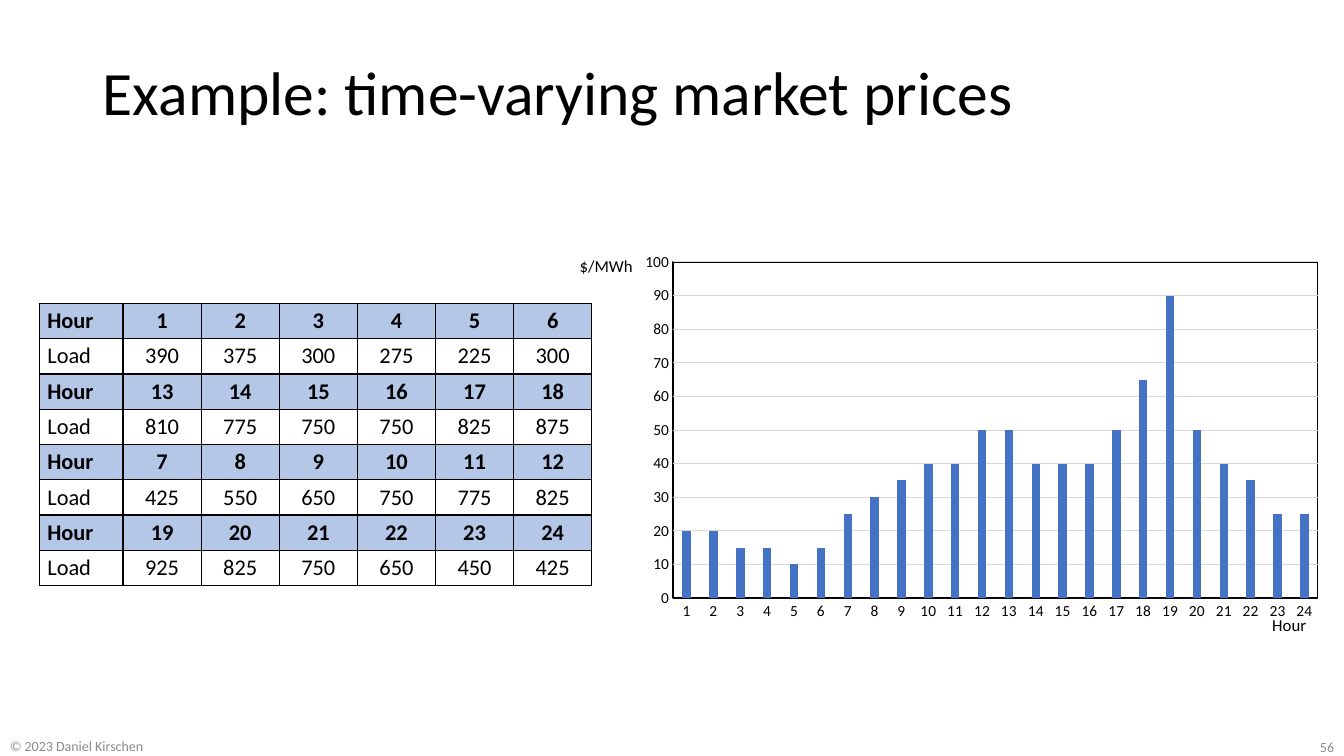
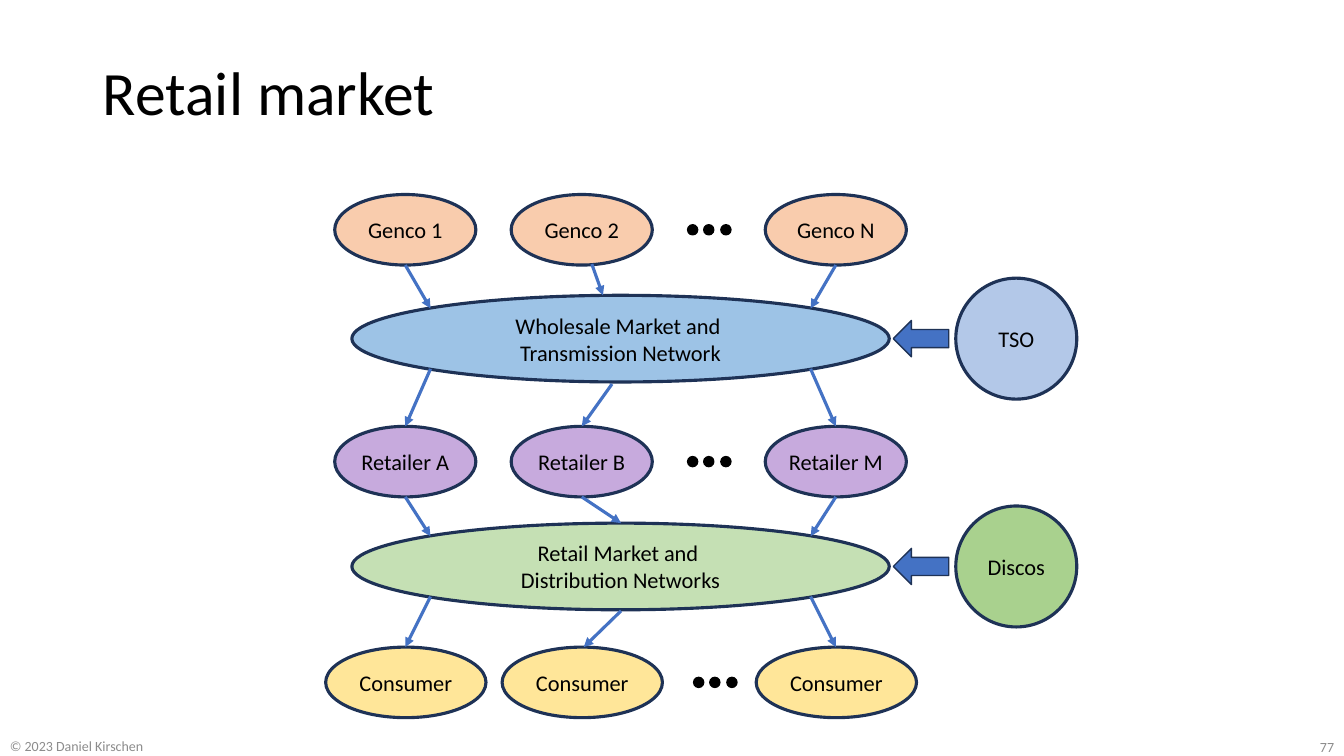
"""Build two slides on electricity markets: hourly prices and retail market structure."""
from dataclasses import dataclass

from pptx import Presentation
from pptx.chart.data import CategoryChartData
from pptx.dml.color import RGBColor
from pptx.enum.chart import XL_CHART_TYPE, XL_TICK_MARK
from pptx.enum.shapes import MSO_CONNECTOR, MSO_SHAPE
from pptx.enum.text import MSO_ANCHOR, MSO_AUTO_SIZE, PP_ALIGN
from pptx.oxml import parse_xml
from pptx.oxml.ns import nsdecls, qn
from pptx.util import Pt

PX = 9144


@dataclass(frozen=True)
class Theme:
    font: str = "Calibri"
    ink: str = "000000"
    muted: str = "8C8C8C"
    accent: str = "4472C4"
    outline: str = "1E3256"
    grid: str = "D9D9D9"
    axis: str = "0D0D0D"
    hour_row: str = "B4C7E7"
    genco: str = "F9CCAD"
    wholesale: str = "9DC3E6"
    tso: str = "B3C8E8"
    retailer: str = "C7AADD"
    retail: str = "C5E0B4"
    disco: str = "A9D18E"
    consumer: str = "FFE699"
    title_size: int = 44
    body_size: int = 16
    label_size: int = 12
    axis_size: int = 11
    footer_size: int = 10
    heavy: float = 2.25
    thin: float = 1


THEME = Theme()
SLIDE_SIZE = (1333, 750)
TITLE_BOX = (92, 40, 1150, 110)
CREDIT_BOX = (0, 730, 364, 20)
NUMBER_BOX = (1033, 733, 300, 17)
CREDIT = "© 2023 Daniel Kirschen"

LOAD_BLOCKS = [
    (1, [390, 375, 300, 275, 225, 300]),
    (13, [810, 775, 750, 750, 825, 875]),
    (7, [425, 550, 650, 750, 775, 825]),
    (19, [925, 825, 750, 650, 450, 425]),
]
LOAD_BOX = (39, 301, 548, 280)
LABEL_COLUMN = 83

PRICES = [20, 20, 15, 15, 10, 15, 25, 30, 35, 40, 40, 50,
          50, 40, 40, 40, 50, 65, 90, 50, 40, 35, 25, 25]
PRICE_BOX = (626, 241, 695, 379)
PLOT_LAYOUT = {"x": 0.06, "y": 0.05, "w": 0.92, "h": 0.88}
AXIS_LABELS = [("$/MWh", (565, 249, 73, 30)), ("Hour", (1252, 605, 54, 30))]

CENTRES = (402, 577, 829)
TIERS = [
    (["Genco 1", "Genco 2", "Genco N"], 193, 140, 682, THEME.genco),
    (["Retailer A", "Retailer B", "Retailer M"], 423, 140, 682, THEME.retailer),
    (["Consumer", "Consumer", "Consumer"], 642, 159, 688, THEME.consumer),
]
TIER_HEIGHT = 70
MARKETS = [
    (["Wholesale Market and ", "Transmission Network"], 293, THEME.wholesale, "TSO", THEME.tso),
    (["Retail Market and ", "Distribution Networks"], 519, THEME.retail, "Discos", THEME.disco),
]
MARKET_LEFT, MARKET_WIDTH, MARKET_HEIGHT = 349, 533, 86
OPERATOR_LEFT, OPERATOR_SIZE = 948, 120
BLOCK_ARROW_LEFT, BLOCK_ARROW_WIDTH, BLOCK_ARROW_HEIGHT = 886, 55, 36
DOT_SIZE = 10
MIDDLE_FLOWS = [
    ((587, 262), (598, 293)),
    ((607, 381), (577, 423)),
    ((577, 493), (616, 519)),
    ((616, 606), (579, 642)),
]


def emu(*lengths):
    return [round(length * PX) for length in lengths]


def rgb(code):
    return RGBColor.from_string(code)


def write(frame, lines, size, color=THEME.ink, align=PP_ALIGN.LEFT, bold=False):
    for index, line in enumerate(lines):
        paragraph = frame.add_paragraph() if index else frame.paragraphs[0]
        paragraph.alignment = align
        run = paragraph.add_run()
        run.text = line
        run.font.name = THEME.font
        run.font.size = Pt(size)
        run.font.bold = bold
        run.font.color.rgb = rgb(color)


def add_label(slide, text, box, size, color=THEME.ink, align=PP_ALIGN.LEFT, wrap=True):
    frame = slide.shapes.add_textbox(*emu(*box)).text_frame
    frame.word_wrap = wrap
    frame.vertical_anchor = MSO_ANCHOR.MIDDLE
    if wrap:
        frame.margin_top = frame.margin_bottom = 0
    write(frame, [text], size, color, align)


def add_titled_slide(deck, title, number):
    slide = deck.slides.add_slide(deck.slide_layouts.get_by_name("Title Only"))
    heading = slide.shapes.title
    heading.left, heading.top, heading.width, heading.height = emu(*TITLE_BOX)
    frame = heading.text_frame
    frame.auto_size = MSO_AUTO_SIZE.NONE
    frame.vertical_anchor = MSO_ANCHOR.MIDDLE
    write(frame, [title], THEME.title_size)
    frame.paragraphs[0].line_spacing = 0.9
    add_label(slide, CREDIT, CREDIT_BOX, THEME.footer_size, THEME.muted)
    add_label(slide, str(number), NUMBER_BOX, THEME.footer_size, THEME.muted, PP_ALIGN.RIGHT)
    return slide


def border_cell(cell):
    properties = cell._tc.get_or_add_tcPr()
    for index, side in enumerate(("lnL", "lnR", "lnT", "lnB")):
        properties.insert(index, parse_xml(
            f'<a:{side} {nsdecls("a")} w="{Pt(THEME.thin)}"><a:solidFill>'
            f'<a:srgbClr val="{THEME.ink}"/></a:solidFill></a:{side}>'))


def add_load_table(slide):
    rows = []
    for first, loads in LOAD_BLOCKS:
        rows.append(["Hour", *range(first, first + len(loads))])
        rows.append(["Load", *loads])
    columns = len(rows[0])
    table = slide.shapes.add_table(len(rows), columns, *emu(*LOAD_BOX)).table
    table.first_row = table.horz_banding = False
    label_width, hour_width = emu(LABEL_COLUMN, (LOAD_BOX[2] - LABEL_COLUMN) / (columns - 1))
    for index, column in enumerate(table.columns):
        column.width = hour_width if index else label_width
    for row_index, row in enumerate(rows):
        is_hour = row_index % 2 == 0
        for column_index, value in enumerate(row):
            cell = table.cell(row_index, column_index)
            cell.vertical_anchor = MSO_ANCHOR.MIDDLE
            cell.margin_left, cell.margin_right = emu(8, 8)
            cell.margin_top = cell.margin_bottom = 0
            if is_hour:
                cell.fill.solid()
                cell.fill.fore_color.rgb = rgb(THEME.hour_row)
            else:
                cell.fill.background()
            border_cell(cell)
            align = PP_ALIGN.CENTER if column_index else PP_ALIGN.LEFT
            write(cell.text_frame, [str(value)], THEME.body_size, align=align, bold=is_hour)


def frame_plot(chart):
    plot_area = chart.element.find(".//" + qn("c:plotArea"))
    for layout in plot_area.findall(qn("c:layout")):
        plot_area.remove(layout)
    extents = "".join(f'<c:{key} val="{value}"/>' for key, value in PLOT_LAYOUT.items())
    plot_area.insert(0, parse_xml(
        f'<c:layout {nsdecls("c")}><c:manualLayout><c:layoutTarget val="inner"/>'
        f'<c:xMode val="edge"/><c:yMode val="edge"/>{extents}</c:manualLayout></c:layout>'))
    plot_area.append(parse_xml(
        f'<c:spPr {nsdecls("c", "a")}><a:noFill/><a:ln w="{Pt(THEME.thin)}"><a:solidFill>'
        f'<a:srgbClr val="{THEME.ink}"/></a:solidFill></a:ln></c:spPr>'))


def add_price_chart(slide):
    data = CategoryChartData()
    data.categories = [str(hour) for hour in range(1, len(PRICES) + 1)]
    data.add_series("Series 1", PRICES)
    chart = slide.shapes.add_chart(XL_CHART_TYPE.COLUMN_CLUSTERED, *emu(*PRICE_BOX), data).chart
    chart.has_title = chart.has_legend = False
    hours, prices, plot = chart.category_axis, chart.value_axis, chart.plots[0]
    for font in (chart.font, hours.tick_labels.font, prices.tick_labels.font):
        font.name = THEME.font
        font.size = Pt(THEME.axis_size)
        font.color.rgb = rgb(THEME.ink)
    for axis in (hours, prices):
        axis.major_tick_mark = axis.minor_tick_mark = XL_TICK_MARK.NONE
    prices.minimum_scale, prices.maximum_scale, prices.major_unit = 0, 100, 10
    prices.format.line.fill.background()
    for line, color in ((hours.format.line, THEME.axis),
                        (prices.major_gridlines.format.line, THEME.grid)):
        line.color.rgb = rgb(color)
        line.width = Pt(0.75)
    plot.gap_width, plot.overlap, plot.vary_by_categories = 219, -27, False
    bars = plot.series[0].format.fill
    bars.solid()
    bars.fore_color.rgb = rgb(THEME.accent)
    frame_plot(chart)


def add_node(slide, box, fill, lines=(), preset=MSO_SHAPE.OVAL,
             outline=THEME.outline, weight=THEME.heavy):
    node = slide.shapes.add_shape(preset, *emu(*box))
    node.shadow.inherit = False
    node.fill.solid()
    node.fill.fore_color.rgb = rgb(fill)
    node.line.color.rgb = rgb(outline)
    node.line.width = Pt(weight)
    frame = node.text_frame
    frame.margin_left = frame.margin_right = 0
    frame.vertical_anchor = MSO_ANCHOR.MIDDLE
    write(frame, lines, THEME.body_size, align=PP_ALIGN.CENTER)


def add_flow(slide, start, end):
    flow = slide.shapes.add_connector(MSO_CONNECTOR.STRAIGHT, *emu(*start, *end))
    flow.line.color.rgb = rgb(THEME.accent)
    flow.line.width = Pt(THEME.heavy)
    properties = flow.element.spPr
    properties.find(qn("a:ln")).append(parse_xml(f'<a:tailEnd {nsdecls("a")} type="triangle"/>'))
    properties.append(parse_xml(f'<a:effectLst {nsdecls("a")}/>'))


def add_tier(slide, names, top, width, dots_left, fill):
    for name, centre in zip(names, CENTRES):
        add_node(slide, (centre - width // 2, top, width, TIER_HEIGHT), fill, [name])
    for index in range(3):
        box = (dots_left + index * 33 // 2, top + (TIER_HEIGHT - DOT_SIZE) // 2, DOT_SIZE, DOT_SIZE)
        add_node(slide, box, THEME.ink, outline=THEME.ink, weight=THEME.thin)


def add_market(slide, lines, top, fill, operator, operator_fill):
    middle = top + MARKET_HEIGHT // 2
    add_node(slide, (MARKET_LEFT, top, MARKET_WIDTH, MARKET_HEIGHT), fill, lines)
    add_node(slide, (OPERATOR_LEFT, middle - OPERATOR_SIZE // 2, OPERATOR_SIZE, OPERATOR_SIZE),
             operator_fill, [operator])
    add_node(slide, (BLOCK_ARROW_LEFT, middle - BLOCK_ARROW_HEIGHT // 2,
                     BLOCK_ARROW_WIDTH, BLOCK_ARROW_HEIGHT),
             THEME.accent, preset=MSO_SHAPE.LEFT_ARROW, weight=THEME.thin)


def add_outer_flows(slide, market_top, upper_top, lower_top):
    diagonal = (1 - 0.5 ** 0.5) / 2
    inset_x, inset_y = round(MARKET_WIDTH * diagonal), round(MARKET_HEIGHT * diagonal)
    edges = (MARKET_LEFT + inset_x, MARKET_LEFT + MARKET_WIDTH - inset_x)
    for centre, edge in zip((CENTRES[0], CENTRES[-1]), edges):
        add_flow(slide, (centre, upper_top + TIER_HEIGHT), (edge, market_top + inset_y))
        add_flow(slide, (edge, market_top + MARKET_HEIGHT - inset_y), (centre, lower_top))


def build_price_slide(deck):
    slide = add_titled_slide(deck, "Example: time-varying market prices", 56)
    add_price_chart(slide)
    for text, box in AXIS_LABELS:
        add_label(slide, text, box, THEME.label_size, wrap=False)
    add_load_table(slide)


def build_retail_slide(deck):
    slide = add_titled_slide(deck, "Retail market", 77)
    for tier in TIERS:
        add_tier(slide, *tier)
    for market, upper, lower in zip(MARKETS, TIERS, TIERS[1:]):
        add_market(slide, *market)
        add_outer_flows(slide, market[1], upper[1], lower[1])
    for start, end in MIDDLE_FLOWS:
        add_flow(slide, start, end)


def main():
    deck = Presentation()
    deck.slide_width, deck.slide_height = emu(*SLIDE_SIZE)
    build_price_slide(deck)
    build_retail_slide(deck)
    deck.save("out.pptx")


if __name__ == "__main__":
    main()
